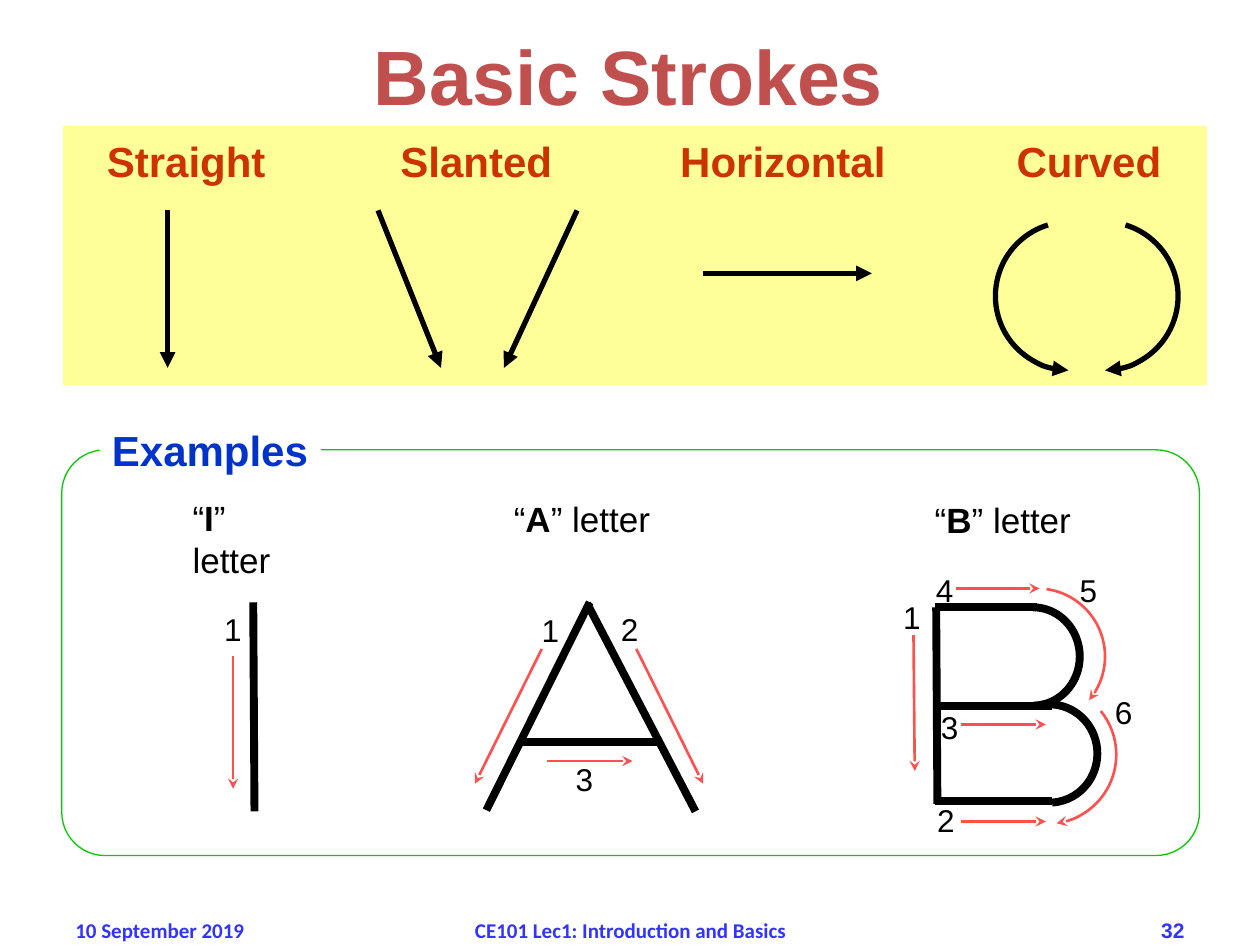
from dataclasses import dataclass

from pptx import Presentation
from pptx.dml.color import RGBColor
from pptx.enum.shapes import MSO_CONNECTOR, MSO_SHAPE
from pptx.enum.text import MSO_ANCHOR, PP_ALIGN
from pptx.oxml.ns import qn
from pptx.oxml.xmlchemy import OxmlElement
from pptx.util import Inches, Pt

LEFT, CENTER, RIGHT = PP_ALIGN.LEFT, PP_ALIGN.CENTER, PP_ALIGN.RIGHT
TOP, MIDDLE = MSO_ANCHOR.TOP, MSO_ANCHOR.MIDDLE
RECT, ROUND_RECT, ARC = MSO_SHAPE.RECTANGLE, MSO_SHAPE.ROUNDED_RECTANGLE, MSO_SHAPE.ARC
STRAIGHT = MSO_CONNECTOR.STRAIGHT


@dataclass(frozen=True)
class Theme:
    font: str = "Arial"
    footer_font: str = "Calibri"
    title: str = "C0504D"
    heading: str = "CC3300"
    examples: str = "0033CC"
    footer: str = "3333FF"
    ink: str = "000000"
    guide: str = "FF5050"
    band: str = "FFFF99"
    frame: str = "00CC00"
    paper: str = "FFFFFF"
    title_size: int = 44
    heading_size: int = 24
    letter_size: int = 20
    number_size: int = 18
    footer_size: int = 12


THEME = Theme()


@dataclass(frozen=True)
class Pen:
    color: str
    width: float
    arrow: str = ""  # arrowhead type, if any


BASIC = Pen(THEME.ink, 3, "triangle")
LETTER = Pen(THEME.ink, 4.5)
GUIDE = Pen(THEME.guide, 1.5, "stealth")
FRAME = Pen(THEME.frame, 0.75)


@dataclass(frozen=True)
class Line:
    x1: float
    y1: float
    x2: float
    y2: float
    pen: Pen


@dataclass(frozen=True)
class Curve:
    """Clockwise arc; angles in degrees, 0 pointing right."""
    cx: float
    cy: float
    rx: float
    ry: float
    start: float
    end: float
    pen: Pen
    arrow_end: str = "a:tailEnd"


@dataclass(frozen=True)
class Label:
    text: str
    x: float
    y: float
    w: float
    h: float
    size: int
    color: str
    bold: bool = True
    align: PP_ALIGN = LEFT
    anchor: MSO_ANCHOR = TOP
    font: str = THEME.font
    wrap: bool = False


def heading(text: str, x: float, w: float) -> Label:
    return Label(text, x, 1.03, w, 0.5, THEME.heading_size, THEME.heading)


def number(text: str, x: float, y: float) -> Label:
    return Label(text, x, y, 0.34, 0.4, THEME.number_size, THEME.ink, bold=False)


def footer(text: str, x: float, w: float, align: PP_ALIGN, font: str) -> Label:
    return Label(text, x, 7.18, w, 0.4, THEME.footer_size, THEME.footer,
                 align=align, anchor=MIDDLE, font=font, wrap=True)


STROKES = [
    # Basic strokes
    Line(1.33, 1.67, 1.33, 2.92, BASIC),
    Line(3, 1.67, 3.5, 2.92, BASIC),
    Line(4.58, 1.67, 4, 2.92, BASIC),
    Line(5.58, 2.17, 6.92, 2.17, BASIC),
    # Letter I
    Line(2.01, 4.78, 2.02, 6.44, LETTER),
    Line(1.85, 5.21, 1.85, 6.26, GUIDE),
    # Letter A
    Line(4.68, 4.78, 3.86, 6.43, LETTER),
    Line(4.66, 4.79, 5.52, 6.44, LETTER),
    Line(4.14, 5.89, 5.22, 5.89, LETTER),
    Line(4.3, 5.15, 3.77, 6.22, GUIDE),
    Line(5.05, 5.15, 5.58, 6.22, GUIDE),
    Line(4.34, 6.04, 5.02, 6.04, GUIDE),
    # Letter B
    Line(7.43, 4.82, 7.44, 6.38, LETTER),
    Line(7.42, 6.36, 8.35, 6.36, LETTER),
    Line(7.42, 5.6, 8.35, 5.6, LETTER),
    Line(7.42, 4.82, 8.23, 4.82, LETTER),
    Line(7.25, 5.04, 7.26, 6.12, GUIDE),
    Line(7.63, 6.52, 8.3, 6.52, GUIDE),
    Line(7.63, 5.75, 8.3, 5.75, GUIDE),
    Line(7.59, 4.67, 8.25, 4.67, GUIDE),
]
CURVES = [
    Curve(8.49, 2.35, 0.59, 0.59, 91, 253, BASIC, "a:headEnd"),
    Curve(8.76, 2.35, 0.59, 0.59, 287, 89, BASIC),
    Curve(8.2, 5.21, 0.37, 0.39, 270, 89, LETTER),
    Curve(8.33, 5.98, 0.38, 0.39, 270, 87, LETTER),
    Curve(8.23, 5.21, 0.54, 0.54, 278, 40, GUIDE),
    Curve(8.31, 5.99, 0.55, 0.55, 321, 82, GUIDE),
]
LABELS = [
    Label("Basic Strokes", 0.49, -0.03, 9, 1.25, THEME.title_size, THEME.title,
          align=CENTER, anchor=MIDDLE, wrap=True),
    heading("Straight", 0.75, 1.48), heading("Slanted", 3.08, 1.45),
    heading("Horizontal", 5.3, 1.85), heading("Curved", 7.97, 1.37),
    number("1", 1.68, 4.79),
    number("1", 4.2, 4.8), number("2", 4.83, 4.79), number("3", 4.47, 5.98),
    number("1", 7.07, 4.7), number("2", 7.34, 6.31), number("3", 7.37, 5.57),
    number("4", 7.33, 4.48), number("5", 8.47, 4.48), number("6", 8.75, 5.45),
    footer("10 September 2019", 0.5, 2.33, LEFT, THEME.footer_font),
    footer("CE101 Lec1: Introduction and Basics", 3.42, 3.17, CENTER, THEME.footer_font),
    footer("32", 7.17, 2.33, RIGHT, THEME.font),
]
LETTERS = [("I", 1.43, 3.89, 1.0, True), ("A", 3.98, 3.9, 1.3, False),
           ("B", 7.32, 3.91, 1.3, False)]


def apply_pen(sp, pen: Pen, arrow_end: str = "a:tailEnd") -> None:
    sp.line.color.rgb = RGBColor.from_string(pen.color)
    sp.line.width = Pt(pen.width)
    if pen.arrow:
        head = OxmlElement(arrow_end)
        head.set("type", pen.arrow)
        sp.element.spPr.find(qn("a:ln")).append(head)


def add_line(s, ln: Line) -> None:
    sp = s.shapes.add_connector(STRAIGHT, *map(Inches, (ln.x1, ln.y1, ln.x2, ln.y2)))
    apply_pen(sp, ln.pen)
    sp.element.spPr.append(OxmlElement("a:effectLst"))


def add_box(s, kind: MSO_SHAPE, x: float, y: float, w: float, h: float, fill: str = ""):
    sp = s.shapes.add_shape(kind, *map(Inches, (x, y, w, h)))
    sp.shadow.inherit = False
    sp.line.fill.background()
    if fill:
        sp.fill.solid()
        sp.fill.fore_color.rgb = RGBColor.from_string(fill)
    else:
        sp.fill.background()
    return sp


def add_curve(s, c: Curve) -> None:
    sp = add_box(s, ARC, c.cx - c.rx, c.cy - c.ry, 2 * c.rx, 2 * c.ry)
    for i, angle in enumerate((c.start, c.end)):
        sp.adjustments[i] = angle * 0.6  # 60000 units a degree, scaled by 100000
    apply_pen(sp, c.pen, c.arrow_end)


def format_run(r, lb: Label, bold: bool) -> None:
    r.font.name, r.font.size, r.font.bold = lb.font, Pt(lb.size), bold
    r.font.color.rgb = RGBColor.from_string(lb.color)


def add_label(s, lb: Label):
    sp = s.shapes.add_textbox(*map(Inches, (lb.x, lb.y, lb.w, lb.h)))
    tf = sp.text_frame
    tf.word_wrap, tf.vertical_anchor = lb.wrap, lb.anchor
    p = tf.paragraphs[0]
    p.text, p.alignment = lb.text, lb.align
    format_run(p.runs[0], lb, lb.bold)
    return sp


def add_letter_name(s, letter: str, x: float, y: float, w: float, wrap: bool) -> None:
    lb = Label("“", x, y, w, 0.43, THEME.letter_size, THEME.ink, bold=False, wrap=wrap)
    p = add_label(s, lb).text_frame.paragraphs[0]
    for text, bold in ((letter, True), ("” letter", False)):
        r = p.add_run()
        r.text = text
        format_run(r, lb, bold)


def main() -> None:
    prs = Presentation()
    prs.slide_width, prs.slide_height = Inches(10), Inches(7.5)
    s = prs.slides.add_slide(prs.slide_layouts[6])

    # Band behind the basic strokes
    add_box(s, RECT, 0.5, 1, 9.08, 2.06, THEME.band)

    # Strokes and text
    for ln in STROKES:
        add_line(s, ln)
    for c in CURVES:
        add_curve(s, c)
    for lb in LABELS:
        add_label(s, lb)
    for name in LETTERS:
        add_letter_name(s, *name)

    # Examples frame with its caption
    frame = add_box(s, ROUND_RECT, 0.49, 3.57, 9.03, 3.22)
    frame.adjustments[0] = 0.107
    apply_pen(frame, FRAME)
    caption = add_label(s, Label("Examples", 0.79, 3.32, 1.76, 0.5,
                                 THEME.heading_size, THEME.examples))
    caption.fill.solid()
    caption.fill.fore_color.rgb = RGBColor.from_string(THEME.paper)

    prs.save("out.pptx")


if __name__ == "__main__":
    main()
